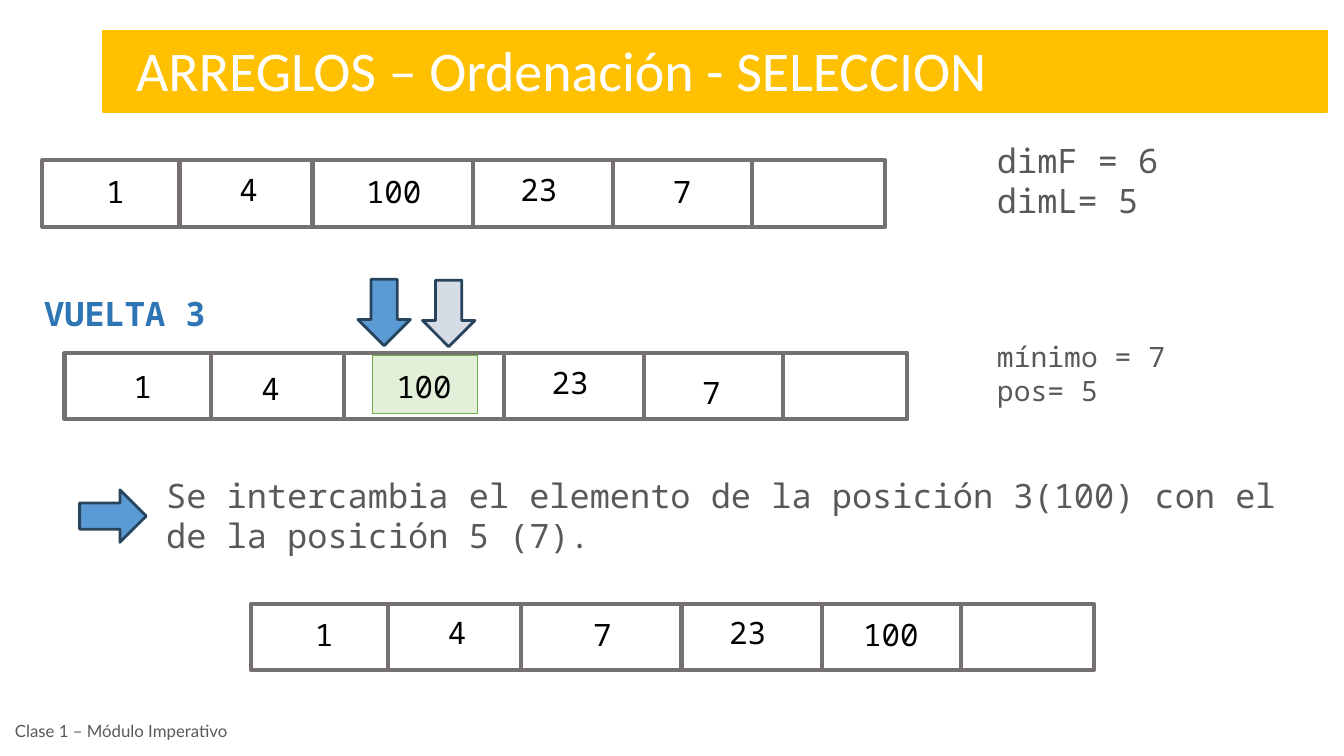
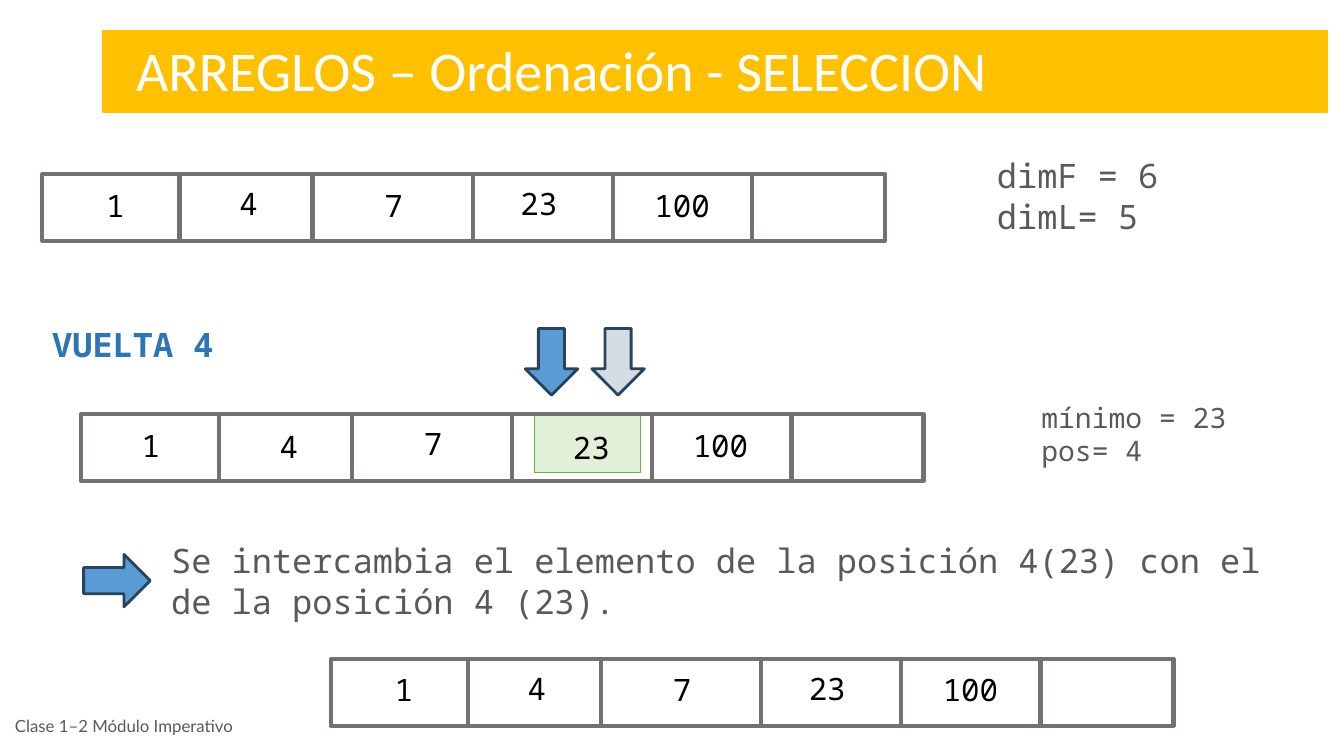
from dataclasses import dataclass

from lxml.etree import SubElement
from pptx import Presentation
from pptx.dml.color import RGBColor
from pptx.enum.shapes import MSO_CONNECTOR, MSO_SHAPE
from pptx.enum.text import MSO_ANCHOR, MSO_AUTO_SIZE, PP_ALIGN
from pptx.oxml.ns import qn
from pptx.util import Inches, Pt

COLORS = {
    "band": "FFC000",
    "title": "FFFFFF",
    "text": "595959",
    "value": "000000",
    "round": "2E75B6",
    "grid": "767171",
    "highlight": "E2F0D9",
    "highlight_line": "70AD47",
    "arrow": "5B9BD5",
    "arrow_pale": "D6DCE5",
    "arrow_line": "28445D",
}
TITLE_FONT, FOOTER_FONT, MONO = "Calibri", "Lato", "Noto Sans Mono"
TITLE = "ARREGLOS – Ordenación - SELECCION"

ARRAY_SIZE = (8.36, 0.66)
DIVIDERS = (1.36, 2.68, 4.27, 5.66, 7.04)
LABEL_SIZE = (1.05, 0.47)
LABEL_SPOTS = ((0.2, 0.07), (1.52, 0.05), (2.96, 0.07), (4.4, 0.05), (5.82, 0.07))
HIGHLIGHT_SIZE = (1.05, 0.57)
ARROW_SIZE = (0.52, 0.66)


@dataclass
class Array:
    """Left and top of the frame; label spots and divider shift are relative to it."""
    left: float
    top: float
    values: tuple
    label_spots: tuple = LABEL_SPOTS
    divider_shift: tuple = (0, 0)


@dataclass
class SortRound:
    initial: Array
    current: Array
    result: Array
    dimensions_top: float
    heading: str
    heading_spot: tuple
    highlight_spot: tuple
    position_arrow: tuple
    minimum_arrow: tuple
    minimum: tuple
    minimum_spot: tuple
    step_arrow: tuple
    step: str
    step_box: tuple
    footer: str
    footer_box: tuple


ROUNDS = (
    SortRound(
        initial=Array(0.42, 1.59, ("1", "4", "100", "23", "7")),
        current=Array(
            0.64, 3.5, ("1", "4", "100", "23", "7"),
            ((0.25, 0.1), (1.52, 0.12), (3.04, 0.1), (4.49, 0.06), (5.89, 0.16)),
            (0.09, 0.01)),
        result=Array(2.49, 5.99, ("1", "4", "7", "23", "100")),
        dimensions_top=1.34,
        heading="VUELTA 3",
        heading_spot=(0.34, 2.86),
        highlight_spot=(3.69, 3.53),
        position_arrow=(3.55, 2.77),
        minimum_arrow=(4.19, 2.78),
        minimum=("mínimo = 7", "pos= 5"),
        minimum_spot=(9.79, 3.32),
        step_arrow=(0.86, 4.79),
        step="Se intercambia el elemento de la posición 3(100) con el de la posición 5 (7).",
        step_box=(1.55, 4.66, 11.37, 0.91),
        footer="Clase 1 – Módulo Imperativo",
        footer_box=(0.05, 7.05, 2.33, 0.4),
    ),
    SortRound(
        initial=Array(0.42, 1.73, ("1", "4", "7", "23", "100")),
        current=Array(
            0.8, 4.11, ("1", "4", "7", "23", "100"),
            ((0.17, 0.07), (1.54, 0.08), (2.97, 0.05), (4.54, 0.09), (5.82, 0.07)),
            (0.01, -0.02)),
        result=Array(3.28, 6.54, ("1", "4", "7", "23", "100")),
        dimensions_top=1.49,
        heading="VUELTA 4",
        heading_spot=(0.42, 3.16),
        highlight_spot=(5.3, 4.12),
        position_arrow=(5.21, 3.26),
        minimum_arrow=(5.87, 3.26),
        minimum=("mínimo = 23", "pos= 4"),
        minimum_spot=(10.23, 3.92),
        step_arrow=(0.9, 5.43),
        step="Se intercambia el elemento de la posición 4(23) con el de la posición 4 (23).",
        step_box=(1.6, 5.31, 11.57, 0.91),
        footer="Clase 1–2 Módulo Imperativo",
        footer_box=(0.05, 6.95, 3.09, 0.51),
    ),
)


def rgb(name):
    return RGBColor.from_string(COLORS[name])


def inches(*lengths):
    return [Inches(length) for length in lengths]


def write(frame, lines, size, color, font=MONO, bold=False,
          align=PP_ALIGN.LEFT, anchor=MSO_ANCHOR.TOP):
    """Fill a text frame with one paragraph per line."""
    frame.word_wrap = True
    frame.auto_size = MSO_AUTO_SIZE.NONE
    frame.vertical_anchor = anchor
    for index, line in enumerate(lines):
        paragraph = frame.add_paragraph() if index else frame.paragraphs[0]
        paragraph.alignment = align
        run = paragraph.add_run()
        run.text = line
        run.font.name = font
        run.font.size = Pt(size)
        run.font.bold = bold
        run.font.color.rgb = rgb(color)


def add_text(shapes, box, lines, size, color, **style):
    write(shapes.add_textbox(*inches(*box)).text_frame, lines, size, color, **style)


def add_figure(shapes, kind, box, fill, line, line_width):
    figure = shapes.add_shape(kind, *inches(*box))
    figure.shadow.inherit = False
    if fill:
        figure.fill.solid()
        figure.fill.fore_color.rgb = rgb(fill)
    else:
        figure.fill.background()
    figure.line.color.rgb = rgb(line)
    figure.line.width = Pt(line_width)
    return figure


def add_arrow(shapes, spot, fill="arrow", rotation=0):
    arrow = add_figure(shapes, MSO_SHAPE.DOWN_ARROW, (*spot, *ARROW_SIZE),
                       fill, "arrow_line", 2)
    arrow.rotation = rotation


def add_divider(shapes, x, top):
    divider = shapes.add_connector(
        MSO_CONNECTOR.STRAIGHT, *inches(x, top, x, top + ARRAY_SIZE[1]))
    divider.line.color.rgb = rgb("grid")
    divider.line.width = Pt(3)
    SubElement(divider.element.spPr, qn("a:effectLst"))


def add_array(slide, array):
    """Draw the frame, dividers and values of an array as one group."""
    cells = slide.shapes.add_group_shape().shapes
    add_figure(cells, MSO_SHAPE.RECTANGLE, (array.left, array.top, *ARRAY_SIZE),
               None, "grid", 3)
    shift_x, shift_y = array.divider_shift
    for offset in DIVIDERS:
        add_divider(cells, array.left + offset + shift_x, array.top + shift_y)
    for value, (x, y) in zip(array.values, array.label_spots):
        add_text(cells, (array.left + x, array.top + y, *LABEL_SIZE), [value],
                 22, "value", align=PP_ALIGN.CENTER)


def add_title(slide):
    title = slide.shapes.title
    title.left, title.top, title.width, title.height = inches(1.25, 0.3, 9.35, 0.77)
    write(title.text_frame, [TITLE], 40, "title", font=TITLE_FONT)
    band = add_figure(slide.shapes, MSO_SHAPE.RECTANGLE, (1.02, 0.3, 12.14, 0.81),
                      "band", "band", 1)
    title.element.addprevious(band.element)


def add_round_slide(deck, sort_round):
    slide = deck.slides.add_slide(deck.slide_layouts.get_by_name("Title Only"))
    shapes = slide.shapes
    add_title(slide)

    add_array(slide, sort_round.initial)
    add_text(shapes, (9.79, sort_round.dimensions_top, 2.3, 0.91),
             ["dimF = 6", "dimL= 5"], 24, "text")

    add_text(shapes, (*sort_round.heading_spot, 2.3, 0.5), [sort_round.heading],
             24, "round", bold=True)
    add_figure(shapes, MSO_SHAPE.RECTANGLE,
               (*sort_round.highlight_spot, *HIGHLIGHT_SIZE),
               "highlight", "highlight_line", 0.75)
    add_array(slide, sort_round.current)
    add_arrow(shapes, sort_round.position_arrow)
    add_arrow(shapes, sort_round.minimum_arrow, fill="arrow_pale")
    add_text(shapes, (*sort_round.minimum_spot, 2.3, 0.77), sort_round.minimum,
             20, "text")

    add_arrow(shapes, sort_round.step_arrow, rotation=270)
    add_text(shapes, sort_round.step_box, [sort_round.step], 24, "text")
    add_array(slide, sort_round.result)
    add_text(shapes, sort_round.footer_box, [sort_round.footer], 12, "text",
             font=FOOTER_FONT, anchor=MSO_ANCHOR.MIDDLE)


def main():
    deck = Presentation()
    deck.slide_width, deck.slide_height = inches(13.33, 7.5)
    for sort_round in ROUNDS:
        add_round_slide(deck, sort_round)
    deck.save("out.pptx")


if __name__ == "__main__":
    main()
